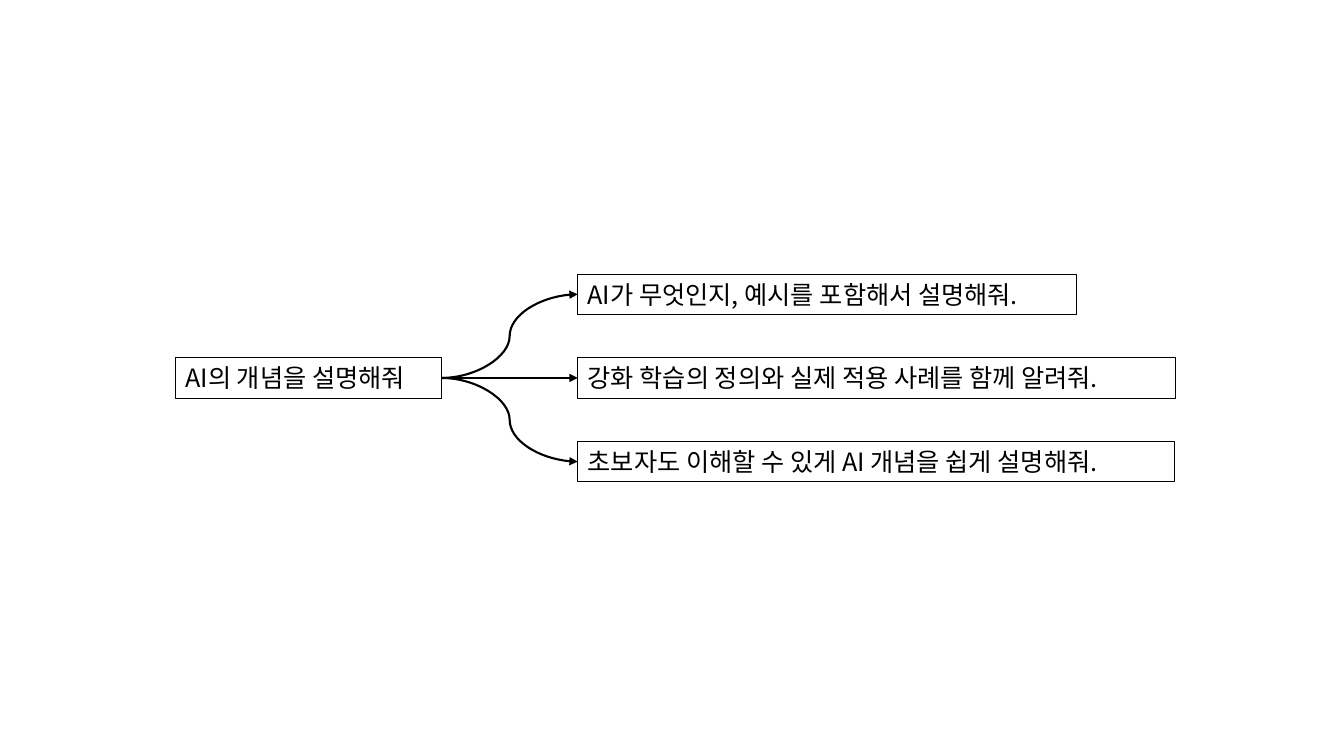
from dataclasses import dataclass
from lxml import etree
from pptx import Presentation
from pptx import util as u
from pptx.dml.color import RGBColor
from pptx.enum import shapes, text
from pptx.oxml import ns


@dataclass(frozen=True)
class Theme:
    ink: RGBColor = RGBColor(0, 0, 0)
    font: str = "Noto Sans CJK KR"
    size: int = 18
    edge: float = 0.75
    arrow: float = 1.5


LOOK = Theme()
WIDE, HIGH = 13.33, 7.5
LEFT, RIGHT = 1.74, 5.73
MID, STEP, TALL = 3.55, 0.83, 0.4
ASK = ("AI의 개념을 설명해줘", 2.64)
GOALS = [
    ("AI가 무엇인지, 예시를 포함해서 설명해줘.", 4.95),
    ("강화 학습의 정의와 실제 적용 사례를 함께 알려줘.", 5.93),
    ("초보자도 이해할 수 있게 AI 개념을 쉽게 설명해줘.", 5.92),
]


def style(item, form):
    for key, value in form.items():
        setattr(item, key, value)


def stroke(line, width):
    line.color.rgb = LOOK.ink
    line.width = u.Pt(width)


def prompt(slide, words, col, row, width):
    top = MID + row * STEP
    box = slide.shapes.add_textbox(*map(u.Inches, (col, top, width, TALL)))
    stroke(box.line, LOOK.edge)
    style(box.text_frame, {
        "word_wrap": False,
        "auto_size": text.MSO_AUTO_SIZE.SHAPE_TO_FIT_TEXT,
    })
    run = box.text_frame.paragraphs[0].add_run()
    run.text = words
    style(run.font, {"name": LOOK.font, "size": u.Pt(LOOK.size)})
    run.font.color.rgb = LOOK.ink
    east = etree.SubElement(run.font._element, ns.qn("a:ea"))
    east.set("typeface", LOOK.font)
    return box


def branch(slide, start, goal):
    link = slide.shapes.add_connector(
        shapes.MSO_CONNECTOR.CURVE,
        start.left + start.width, start.top + start.height // 2,
        goal.left, goal.top + goal.height // 2,
    )
    link.begin_connect(start, 3)
    link.end_connect(goal, 1)
    stroke(link.line, LOOK.arrow)
    tip = etree.SubElement(link.line._get_or_add_ln(), ns.qn("a:tailEnd"))
    tip.set("type", "triangle")
    etree.SubElement(link._element.spPr, ns.qn("a:effectLst"))


def main():
    deck = Presentation()
    style(deck, {"slide_width": u.Inches(WIDE), "slide_height": u.Inches(HIGH)})
    slide = deck.slides.add_slide(deck.slide_layouts[6])
    words, width = ASK
    start = prompt(slide, words, LEFT, 0, width)
    for row, (words, width) in enumerate(GOALS, -1):
        branch(slide, start, prompt(slide, words, RIGHT, row, width))
    deck.save("out.pptx")


if __name__ == "__main__":
    main()
